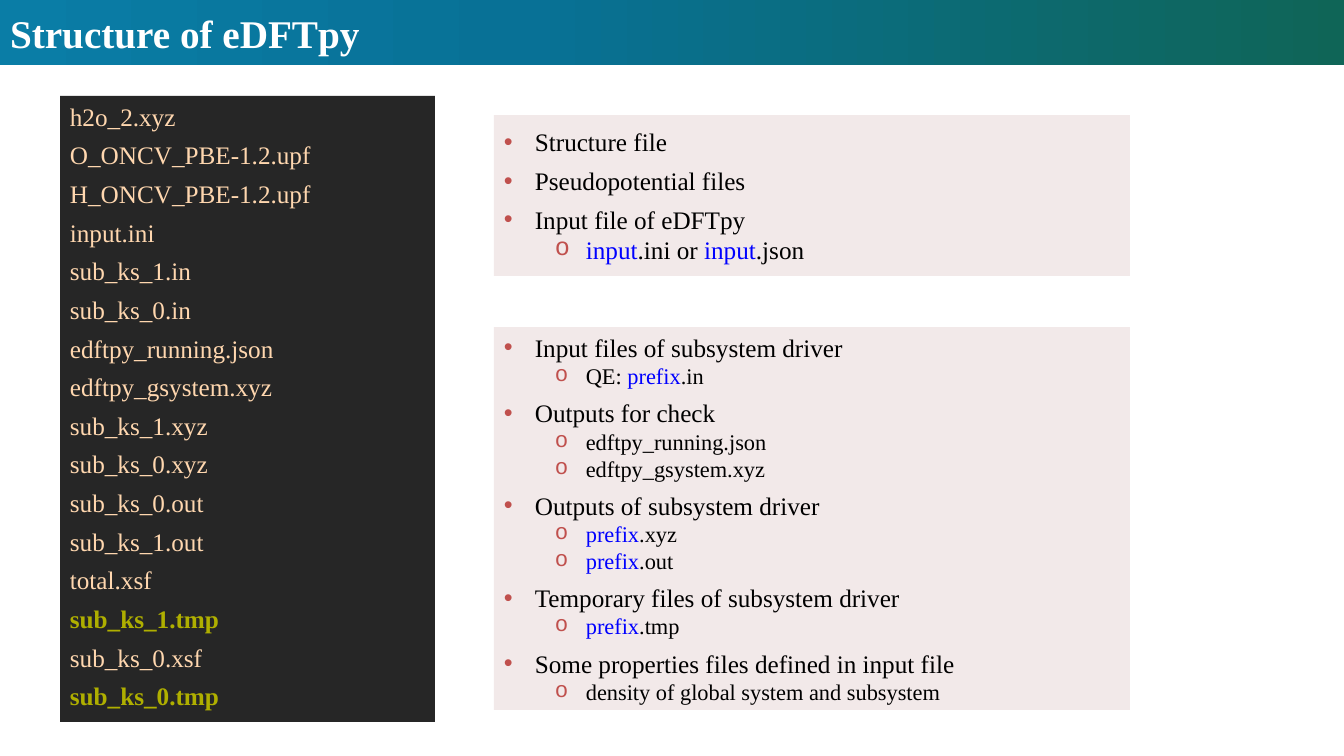
import copy
from dataclasses import dataclass

import lxml.etree
import pptx
import pptx.dml.color
import pptx.enum.shapes
import pptx.enum.text
import pptx.oxml.ns
import pptx.util


@dataclass(frozen=True)
class Theme:
    font: str = "Times New Roman"
    title_size: int = 28
    body_size: int = 18
    detail_size: int = 16
    paragraph_gap: int = 6
    white: str = "FFFFFF"
    text: str = "000000"
    keyword: str = "0000FF"
    bullet: str = "C0504D"
    panel: str = "F2E9E9"
    terminal: str = "262626"
    file_name: str = "FFD7AF"
    temporary: str = "AFAF00"
    band: tuple = ((0, "0A7DA6"), (0.39, "087196"), (1, "0F6557"))


theme = Theme()
PX = 914400 / 100.8
rgb = pptx.dml.color.RGBColor.from_string
qn = pptx.oxml.ns.qn


def add_panel(left, top, width, height, color):
    """Add a borderless rectangle, measured in px, with left-aligned text."""
    box = [pptx.util.Emu(round(n * PX)) for n in (left, top, width, height)]
    panel = slide.shapes.add_shape(pptx.enum.shapes.MSO_SHAPE.RECTANGLE, *box)
    panel.shadow.inherit = False
    panel.fill.solid()
    panel.fill.fore_color.rgb = rgb(color)
    panel.line.fill.background()
    panel.text_frame.word_wrap = True
    return panel


def format_font(font, size, color, bold=False):
    font.name = theme.font
    font.size = pptx.util.Pt(size)
    font.bold = bold
    font.color.rgb = rgb(color)


presentation = pptx.Presentation()
presentation.slide_width = round(1344 * PX)
presentation.slide_height = round(756 * PX)
slide = presentation.slides.add_slide(presentation.slide_layouts[5])

# Title band
band = add_panel(0, 0, 1344, 65, theme.white)
band.fill.gradient()
band.fill.gradient_angle = 0
first_stop = band._element.spPr.find(".//" + qn("a:gs"))
first_stop.addnext(copy.deepcopy(first_stop))
for stop, (position, color) in zip(band.fill.gradient_stops, theme.band):
    stop.position = position
    stop.color.rgb = rgb(color)

title = slide.shapes.title
band._element.addnext(title._element)
title.left, title.top, title.width, title.height = band.left, band.top, band.width, band.height
title.text_frame.text = "Structure of eDFTpy"
title.text_frame.vertical_anchor = pptx.enum.text.MSO_ANCHOR.MIDDLE
heading = title.text_frame.paragraphs[0]
heading.alignment = pptx.enum.text.PP_ALIGN.LEFT
format_font(heading.runs[0].font, theme.title_size, theme.white, bold=True)

# Explanations: (top, height, detail size, [(level, text)]), keywords between asterisks
explanations = [
    (327, 383, theme.detail_size, [
        (0, "Input files of subsystem driver"),
        (1, "QE: *prefix*.in"),
        (0, "Outputs for check"),
        (1, "edftpy_running.json"),
        (1, "edftpy_gsystem.xyz"),
        (0, "Outputs of subsystem driver"),
        (1, "*prefix*.xyz"),
        (1, "*prefix*.out"),
        (0, "Temporary files of subsystem driver"),
        (1, "*prefix*.tmp"),
        (0, "Some properties files defined in input file"),
        (1, "density of global system and subsystem"),
    ]),
    (115, 161, theme.body_size, [
        (0, "Structure file"),
        (0, "Pseudopotential files"),
        (0, "Input file of eDFTpy"),
        (1, "*input*.ini or *input*.json"),
    ]),
]
bullets = [("•", "Arial", 31), ("o", "Courier New", 82)]

for top, height, detail_size, items in explanations:
    frame = add_panel(494, top, 636, height, theme.panel).text_frame
    frame.vertical_anchor = pptx.enum.text.MSO_ANCHOR.MIDDLE
    for index, (level, text) in enumerate(items):
        paragraph = frame.add_paragraph() if index else frame.paragraphs[0]
        paragraph.alignment = pptx.enum.text.PP_ALIGN.LEFT
        paragraph.level = level
        if index and level == 0:
            paragraph.space_before = pptx.util.Pt(theme.paragraph_gap)
        symbol, symbol_font, indent = bullets[level]
        properties = paragraph._p.get_or_add_pPr()
        properties.set("marL", str(round(indent * PX)))
        properties.set("indent", str(round(-31 * PX)))
        bullet_color = lxml.etree.SubElement(properties, qn("a:buClr"))
        lxml.etree.SubElement(bullet_color, qn("a:srgbClr"), val=theme.bullet)
        lxml.etree.SubElement(properties, qn("a:buFont"), typeface=symbol_font)
        lxml.etree.SubElement(properties, qn("a:buChar"), char=symbol)
        for part, words in enumerate(text.split("*")):
            if words:
                run = paragraph.add_run()
                run.text = words
                format_font(run.font, detail_size if level else theme.body_size,
                            theme.keyword if part % 2 else theme.text)

# Directory listing
files = [
    "h2o_2.xyz", "O_ONCV_PBE-1.2.upf", "H_ONCV_PBE-1.2.upf", "input.ini",
    "sub_ks_1.in", "sub_ks_0.in", "edftpy_running.json", "edftpy_gsystem.xyz",
    "sub_ks_1.xyz", "sub_ks_0.xyz", "sub_ks_0.out", "sub_ks_1.out",
    "total.xsf", "sub_ks_1.tmp", "sub_ks_0.xsf", "sub_ks_0.tmp",
]
listing = add_panel(60, 96, 375, 626, theme.terminal).text_frame
listing.vertical_anchor = pptx.enum.text.MSO_ANCHOR.TOP
listing.text = "\n".join(files)
for index, paragraph in enumerate(listing.paragraphs):
    paragraph.alignment = pptx.enum.text.PP_ALIGN.LEFT
    if index:
        paragraph.space_before = pptx.util.Pt(theme.paragraph_gap)
    is_temporary = files[index].endswith(".tmp")
    format_font(paragraph.runs[0].font, theme.body_size,
                theme.temporary if is_temporary else theme.file_name, is_temporary)

presentation.save("out.pptx")
